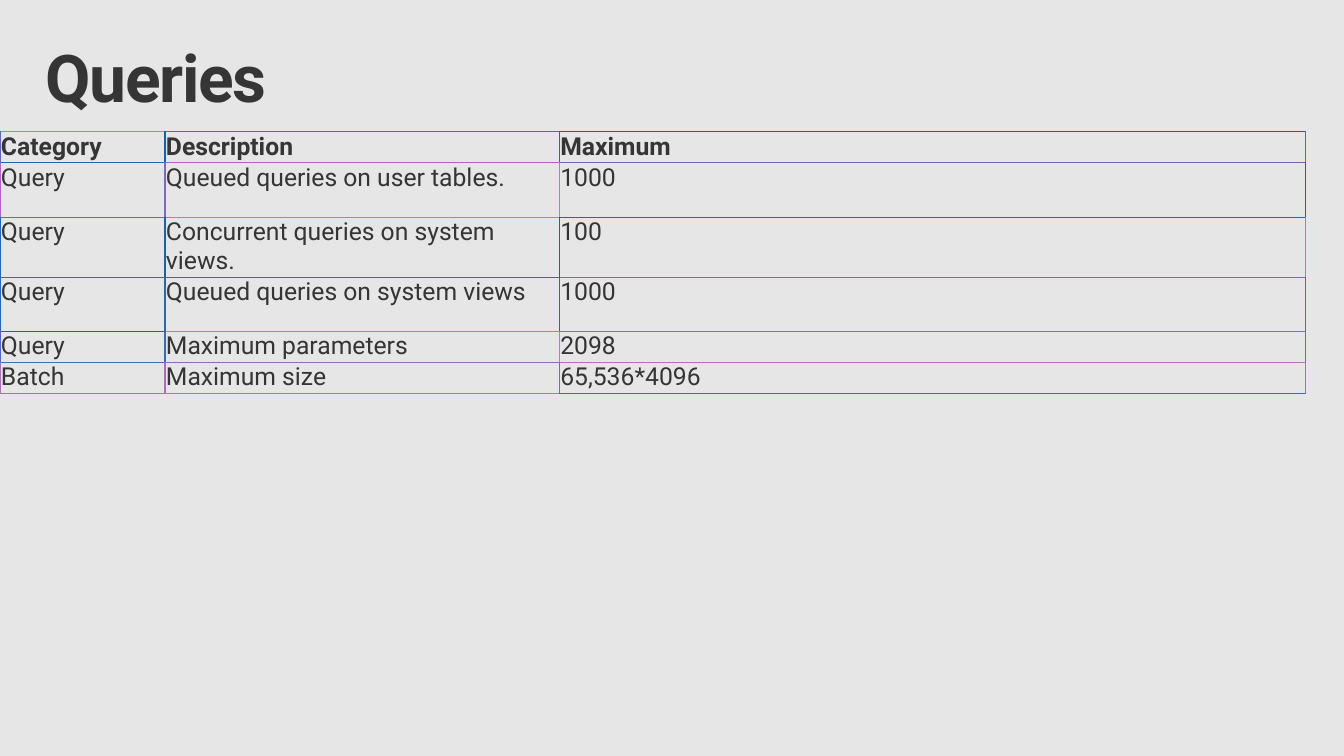
from pptx import Presentation
from pptx.dml.color import RGBColor
from pptx.enum.text import MSO_ANCHOR, PP_ALIGN
from pptx.oxml import parse_xml
from pptx.oxml.ns import nsdecls
from pptx.util import Inches, Pt

TOP, MIDDLE, BOTTOM = MSO_ANCHOR.TOP, MSO_ANCHOR.MIDDLE, MSO_ANCHOR.BOTTOM
LEFT = PP_ALIGN.LEFT
INK = "353535"


def color(text):
    return RGBColor.from_string(text)


def style(para, size, bold):
    para.alignment = LEFT
    look = {"name": "Roboto", "size": Pt(size), "bold": bold}
    for run in para.runs:
        for key, value in look.items():
            setattr(run.font, key, value)
        run.font.color.rgb = color(INK)


deck = Presentation()
deck.slide_width, deck.slide_height = Inches(13.6), Inches(7.65)
slide = deck.slides.add_slide(deck.slide_layouts[5])
slide.background.fill.solid()
slide.background.fill.fore_color.rgb = color("E6E6E6")

title = slide.shapes.title
place = {"left": 0.3, "top": 0.32, "width": 13, "height": 1}
for key, value in place.items():
    setattr(title, key, Inches(value))
frame = title.text_frame
frame.text = "Queries"
frame.word_wrap = True
frame.vertical_anchor = MIDDLE
pads = {"margin_left": 0.16, "margin_right": 0.16,
        "margin_top": 0.1, "margin_bottom": 0.1}
for key, value in pads.items():
    setattr(frame, key, Inches(value))
para = frame.paragraphs[0]
para.line_spacing = 0.9
style(para, 48, True)
para.runs[0].font._element.set("spc", "-100")

rows = [
    ("Category", "Description", "Maximum"),
    ("Query", "Queued queries on user tables.", "1000"),
    ("Query", "Concurrent queries on system views.", "100"),
    ("Query", "Queued queries on system views", "1000"),
    ("Query", "Maximum parameters", "2098"),
    ("Batch", "Maximum size", "65,536*4096"),
]
widths = [1.67, 3.99, 7.55]
heights = [0.28, 0.55, 0.55, 0.55, 0.28, 0.28]
uprights = [
    ("6065BC", "0068BC", "2066BC", "6068BC"),
    ("B066BC", "8069BC", "E066BC", "1064BC"),
    ("2069BC", "1064BC", "1064BC", "E066BC"),
    ("2069BC", "2069BC", "2069BC", "5069BC"),
    ("5069BC", "306EBC", "D06DBC", "706ABC"),
    ("B06CBC", "B06CBC", "706DBC", "B06FBC"),
]
levels = [
    ("F065BC", "5069BC", "0068BC"),
    ("2066BC", "B066BC", "7067BC"),
    ("7067BC", "E066BC", "2069BC"),
    ("3068BC", "3068BC", "8069BC"),
    ("1064BC", "D06ABC", "806FBC"),
    ("406DBC", "906BBC", "C06BBC"),
    ("B06CBC", "C06EBC", "406ABC"),
]

table = slide.shapes.add_table(
    len(rows), len(widths), Inches(0), Inches(1.33),
    Inches(sum(widths)), Inches(sum(heights))).table
table.horz_banding = False
for col, width in zip(table.columns, widths):
    col.width = Inches(width)
for row, height in zip(table.rows, heights):
    row.height = Inches(height)

for r, words in enumerate(rows):
    for c, word in enumerate(words):
        cell = table.cell(r, c)
        cell.text = word
        cell.fill.background()
        cell.vertical_anchor = TOP if r else BOTTOM
        for key in pads:
            setattr(cell, key, Inches(0.01))
        style(cell.text_frame.paragraphs[0], 18, r == 0)
        edges = [
            ("L", uprights[r][c], 1),
            ("R", uprights[r][c + 1], 1),
            ("T", levels[r][c], 0.38 if r else 1),
            ("B", levels[r + 1][c], 0.38),
        ]
        props = cell._tc.get_or_add_tcPr()
        for spot, (side, tint, width) in enumerate(edges):
            props.insert(spot, parse_xml(
                f'<a:ln{side} {nsdecls("a")} w="{Pt(width)}"><a:solidFill>'
                f'<a:srgbClr val="{tint}"/></a:solidFill></a:ln{side}>'))

deck.save("out.pptx")
